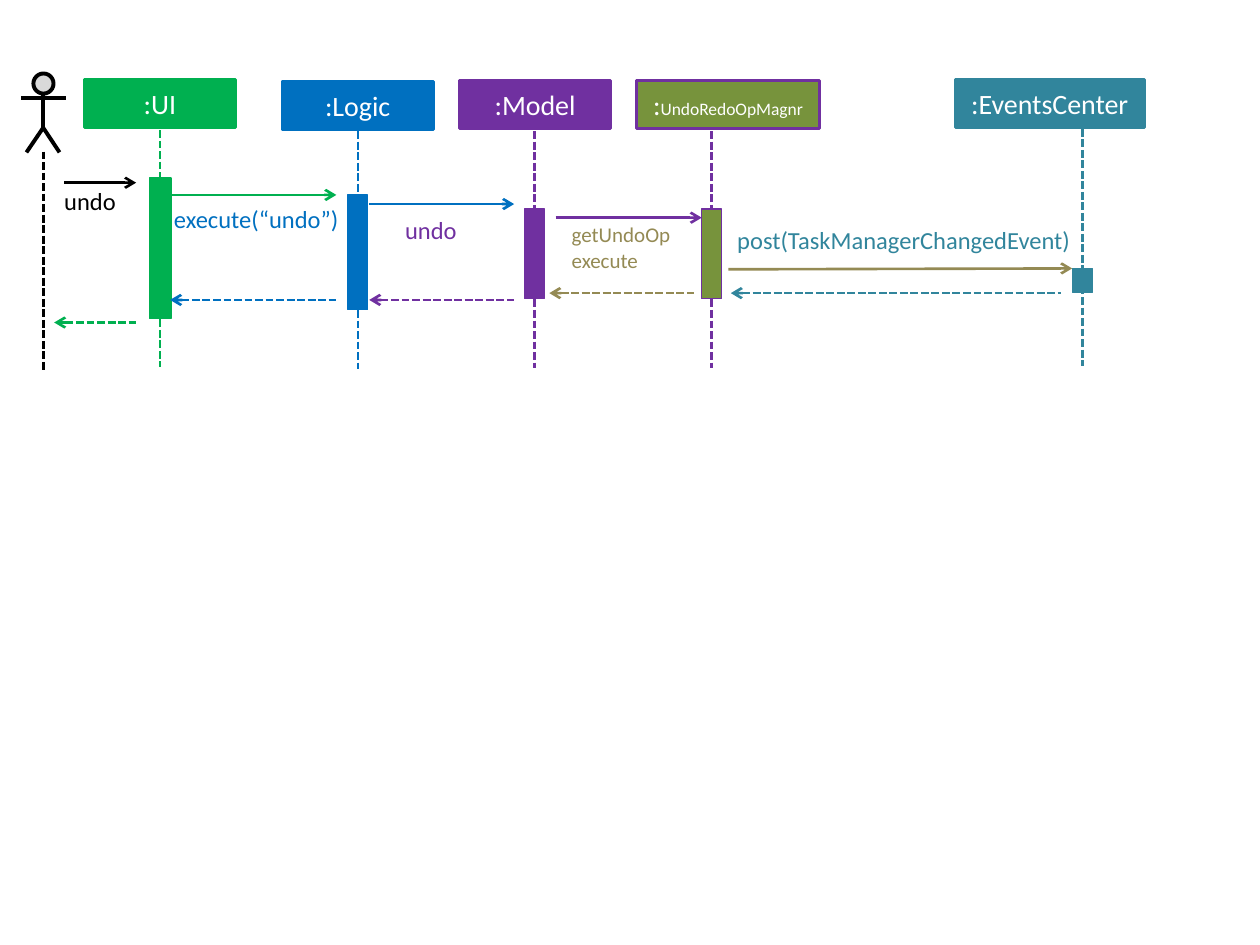
from pptx import Presentation
from pptx.dml.color import RGBColor
from pptx.enum.dml import MSO_LINE
from pptx.enum.shapes import MSO_CONNECTOR, MSO_SHAPE
from pptx.enum.text import MSO_ANCHOR, MSO_AUTO_SIZE, PP_ALIGN
from pptx.oxml.ns import qn
from pptx.util import Pt
from lxml.etree import SubElement

COLORS = {
    "black": "000000", "white": "FFFFFF", "grey": "D9D9D9", "green": "00B050",
    "blue": "0070C0", "purple": "7030A0", "olive": "77933C", "teal": "31859C",
    "khaki": "948A54",
}


def add_line(shapes, start, end, color, width=1.5, dashed=False, arrow=None):
    """Draw a straight line; arrow is None, "headEnd" or "tailEnd"."""
    line = shapes.add_connector(MSO_CONNECTOR.STRAIGHT, *map(Pt, start + end))
    line.line.color.rgb = RGBColor.from_string(COLORS[color])
    line.line.width = Pt(width)
    if dashed:
        line.line.dash_style = MSO_LINE.SQUARE_DOT
    properties = line._element.spPr
    if arrow:
        SubElement(properties.find(qn("a:ln")), qn("a:" + arrow), type="arrow")
    SubElement(properties, qn("a:effectLst"))


def style_shape(shape, fill, outline, width):
    """Give a shape a flat fill (or none) and an outline without shadow."""
    shape.shadow.inherit = False
    if fill:
        shape.fill.solid()
        shape.fill.fore_color.rgb = RGBColor.from_string(COLORS[fill])
    else:
        shape.fill.background()
    shape.line.color.rgb = RGBColor.from_string(COLORS[outline])
    shape.line.width = Pt(width)


deck = Presentation()
deck.slide_width, deck.slide_height = Pt(720), Pt(540)
page = deck.slides.add_slide(deck.slide_layouts[6])

# Actor with its lifeline
actor = page.shapes.add_group_shape().shapes
head = actor.add_shape(MSO_SHAPE.FLOWCHART_CONNECTOR, Pt(19.1), Pt(42), Pt(11.5), Pt(11.5))
style_shape(head, "grey", "black", 2.25)
add_line(actor, (24.7, 53.5), (24.7, 73.2), "black", 2.25)
legs = actor.build_freeform(Pt(15.1), Pt(87.1))
legs.add_line_segments([(Pt(24.7), Pt(73)), (Pt(34), Pt(87.1))], close=False)
style_shape(legs.convert_to_shape(), None, "black", 2.25)
add_line(actor, (12.2, 56.2), (37.6, 56.2), "black", 2.25)
add_line(page.shapes, (24.7, 86.6), (24.7, 212.2), "black", dashed=True)

# Participants: name runs (text, size), fill, outline, header left, top, width,
# lifeline x, top, bottom, activation top, width, height
participants = [
    ([(":UI", 16)], "green", "green", 48.2, 45.4, 86.4, 91.5, 74.3, 209.5, 101.7, 12.4, 80.4),
    ([(":Logic", 16)], "blue", "blue", 161.2, 46.5, 86.4, 204.5, 75, 211, 111.4, 11.5, 65.5),
    ([(":Model", 16)], "purple", "purple", 262.6, 46, 86.4, 305.4, 75, 210.4, 119.4, 11.5, 51.3),
    ([(":", 16), ("UndoRedoOpMagnr", 10)], "olive", "purple",
     363.8, 46, 104.4, 406.6, 75, 210.4, 119.4, 11.5, 51.3),
    ([(":EventsCenter", 16)], "teal", "teal", 545.9, 45.4, 108, 618.5, 73.6, 209, 153.4, 11.5, 13.7),
]
for (name, fill, outline, left, top, width, lifeline_x, lifeline_top, lifeline_bottom,
     bar_top, bar_width, bar_height) in participants:
    header = page.shapes.add_shape(MSO_SHAPE.RECTANGLE, Pt(left), Pt(top), Pt(width), Pt(27.4))
    style_shape(header, fill, outline, 1.5)
    header.text_frame.vertical_anchor = MSO_ANCHOR.MIDDLE
    paragraph = header.text_frame.paragraphs[0]
    paragraph.alignment = PP_ALIGN.CENTER
    paragraph.font.name = "Calibri"
    paragraph.font.color.rgb = RGBColor.from_string(COLORS["white"])
    for text, size in name:
        span = paragraph.add_run()
        span.text = text
        span.font.size = Pt(size)
        span.font.name = "Calibri"
        span.font.color.rgb = RGBColor.from_string(COLORS["white"])
    add_line(page.shapes, (lifeline_x, lifeline_top), (lifeline_x, lifeline_bottom),
             outline, dashed=True)
    activation = page.shapes.add_shape(
        MSO_SHAPE.RECTANGLE, Pt(lifeline_x - bar_width / 2), Pt(bar_top),
        Pt(bar_width), Pt(bar_height))
    style_shape(activation, fill, outline, 0.75)

# Calls point right, dashed returns point left
calls = [
    ((36.7, 104.4), (77.8, 104.4), "black"),
    ((97.9, 111.4), (192.2, 111.4), "green"),
    ((211, 116.6), (293.8, 116.6), "blue"),
    ((317.5, 124.4), (401, 124.4), "purple"),
    ((416.2, 153.9), (612.7, 153.4), "khaki"),
]
returns = [
    ((31, 184.3), (77.8, 184.3), "green"),
    ((97.2, 171.4), (192.2, 171.4), "blue"),
    ((211, 171.4), (293.8, 171.4), "purple"),
    ((313.9, 167.5), (396.7, 167.5), "khaki"),
    ((417.6, 167.5), (606.2, 167.5), "teal"),
]
for start, end, color in calls:
    add_line(page.shapes, start, end, color, arrow="tailEnd")
for start, end, color in returns:
    add_line(page.shapes, start, end, color, dashed=True, arrow="headEnd")

# Message labels: lines, left, top, width, height, size, color
labels = [
    (["undo"], 36.7, 106.2, 67.7, 17, 14, "black"),
    (["execute(“undo”)"], 99.4, 116.8, 99.4, 17, 14, "blue"),
    (["undo"], 231.5, 123.1, 112.3, 17, 14, "purple"),
    (["getUndoOp", "execute"], 326.7, 126.8, 112.3, 29, 12, "khaki"),
    (["post(TaskManagerChangedEvent)"], 421.3, 128.4, 192.2, 17, 14, "teal"),
]
for lines, left, top, width, height, size, color in labels:
    box = page.shapes.add_textbox(Pt(left), Pt(top), Pt(width), Pt(height))
    frame = box.text_frame
    frame.word_wrap = True
    frame.auto_size = MSO_AUTO_SIZE.SHAPE_TO_FIT_TEXT
    frame.margin_left = frame.margin_top = frame.margin_right = frame.margin_bottom = 0
    frame.text = "\n".join(lines)
    for paragraph in frame.paragraphs:
        paragraph.font.name = "Calibri"
        paragraph.font.size = Pt(size)
        paragraph.font.color.rgb = RGBColor.from_string(COLORS[color])

deck.save("out.pptx")
